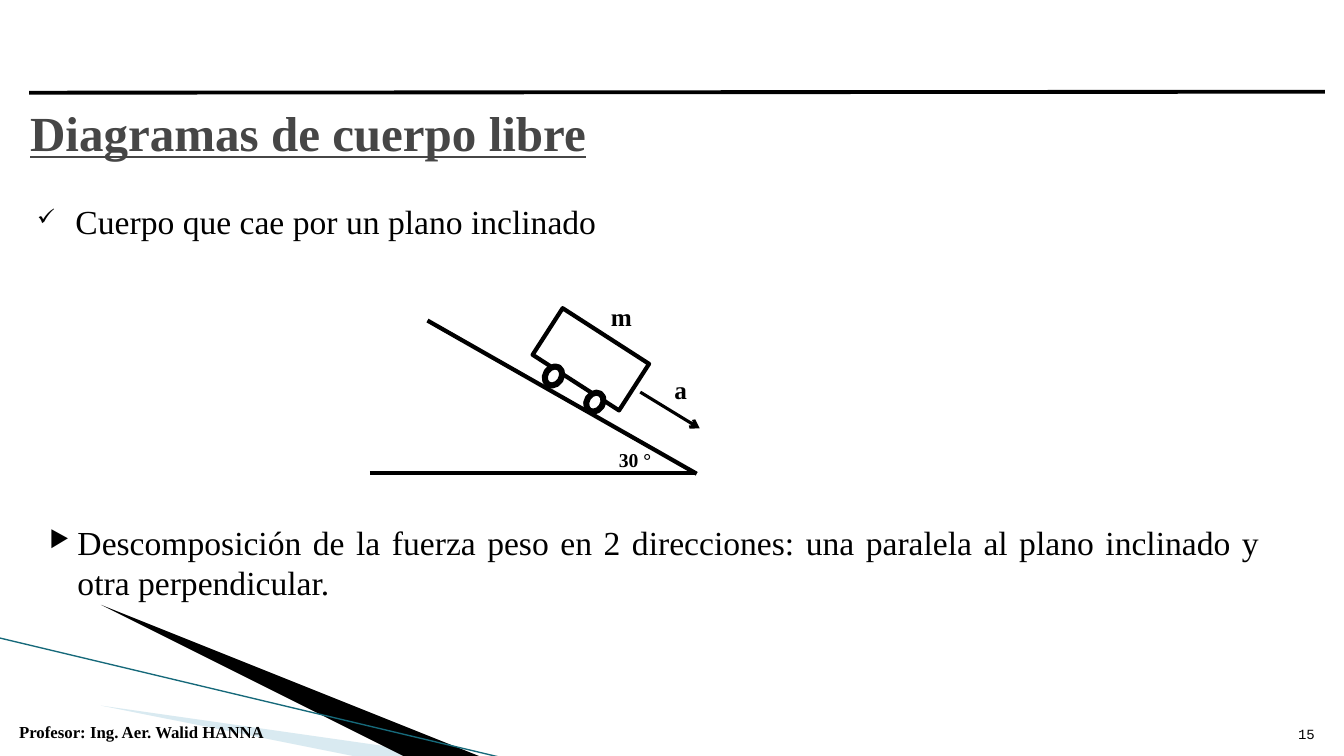
from lxml import etree
from pptx import Presentation
from pptx.dml.color import RGBColor
from pptx.enum.shapes import MSO_CONNECTOR as Conn, MSO_SHAPE as Kind
from pptx.enum.text import MSO_ANCHOR as Anchor, PP_ALIGN as Align
from pptx.oxml.ns import qn
from pptx.util import Inches, Pt

BLACK = "000000"
SERIF = "Times New Roman"


def color(code):
    return RGBColor.from_string(code)


def add_sub(node, tag, **attrs):
    return etree.SubElement(node, qn(tag), attrs)


def add_line(slide, start, end, width, code=BLACK, arrow=False):
    line = slide.shapes.add_connector(
        Conn.STRAIGHT, *(Inches(v) for v in (*start, *end)))
    line.line.color.rgb = color(code)
    line.line.width = Pt(width)
    if arrow:
        add_sub(line.line._get_or_add_ln(), "a:tailEnd", type="arrow")
    add_sub(line._element.spPr, "a:effectLst")


def add_wedge(slide, points, code, alpha=None):
    pen = slide.shapes.build_freeform(*points[0], scale=Inches(1))
    pen.add_line_segments(points[1:])
    wedge = pen.convert_to_shape()
    wedge.shadow.inherit = False
    wedge.fill.solid()
    wedge.fill.fore_color.rgb = color(code)
    wedge.line.fill.background()
    if alpha:
        tint = wedge._element.spPr.find(".//" + qn("a:srgbClr"))
        add_sub(tint, "a:alpha", val=str(alpha * 1000))


def add_text(slide, box, text, size, bold=False, font=SERIF, code=BLACK,
             align=Align.LEFT, anchor=Anchor.TOP, wrap=True, bullet=None,
             indent=(0, 0)):
    frame = slide.shapes.add_textbox(*(Inches(v) for v in box)).text_frame
    frame.word_wrap = wrap
    frame.vertical_anchor = anchor
    para = frame.paragraphs[0]
    para.text = text
    para.alignment = align
    if bullet:
        props = para._p.get_or_add_pPr()
        props.set("marL", str(Inches(indent[0])))
        props.set("indent", str(Inches(indent[1])))
        add_sub(props, "a:buSzPct", val="68000")
        add_sub(props, "a:buChar", char=bullet)
    para.font.name = font
    para.font.size = Pt(size)
    para.font.bold = bold
    para.font.color.rgb = color(code)
    return para


def add_part(slide, kind, box, width):
    part = slide.shapes.add_shape(kind, *(Inches(v) for v in box))
    part.shadow.inherit = False
    part.rotation = 32.8
    part.fill.solid()
    part.fill.fore_color.rgb = color("FFFFFF")
    part.line.color.rgb = color(BLACK)
    part.line.width = Pt(width)


def draw_base(slide, left, top):
    def at(x, y):
        return left + x, top + y

    add_wedge(slide, [at(0.73, 0.18), at(7.93, 1.17), at(6.08, 1.17)],
              "A0CBDC", 40)
    add_wedge(slide, [at(0.71, 0.16), at(6.09, 1.17), at(4.96, 1.17)], BLACK)
    add_line(slide, at(0, 0), at(4.95, 1.18), 0.95, "16697A")
    add_text(slide, (*at(0.08, 0.68), 2.64, 0.4),
             "Profesor: Ing. Aer. Walid HANNA", 12, True,
             align=Align.RIGHT, anchor=Anchor.BOTTOM)
    add_text(slide, (*at(12.61, 0.68), 0.53, 0.4), "15", 10,
             font="Courier New", align=Align.RIGHT, anchor=Anchor.BOTTOM)


def draw_head(slide, left, top, width):
    add_line(slide, (left + 0.09, top), (left + width + 0.09, top - 0.01), 2.75)
    title = add_text(slide, (left, top + 0.18, width, 0.42),
                     "Diagramas de cuerpo libre", 35, True, code="464646",
                     anchor=Anchor.MIDDLE)
    title.font.underline = True


def draw_body(slide, left, top, width):
    add_text(slide, (left, top, width, 0.5),
             "Cuerpo que cae por un plano inclinado", 24,
             bullet="✓", indent=(0.38, -0.38))
    add_text(slide, (left, top + 3.19, width, 0.9),
             "Descomposición de la fuerza peso en 2 direcciones: "
             "una paralela al plano inclinado y otra perpendicular.", 24,
             align=Align.JUSTIFY, bullet="▶", indent=(0.4, -0.28))


def draw_plane(slide, left, top):
    def at(x, y):
        return left + x, top + y

    add_part(slide, Kind.RECTANGLE, (*at(1.68, 0.35), 1.02, 0.55), 3)
    for x, y in ((2.15, 0.95), (1.74, 0.69)):
        add_part(slide, Kind.OVAL, (*at(x, y), 0.16, 0.2), 4.33)
    add_line(slide, at(2.68, 0.95), at(3.27, 1.31), 2.25, arrow=True)
    add_line(slide, at(0, 1.75), at(3.23, 1.75), 3)
    add_line(slide, at(0.57, 0.24), at(3.24, 1.76), 3)
    for text, x, y, wide, size in (("m", 2.29, 0, 0.47, 18),
                                   ("a", 2.92, 0.72, 0.35, 18),
                                   ("30 °", 2.37, 1.45, 0.55, 14)):
        add_text(slide, (*at(x, y), wide, 0.4), text, size, True, wrap=False)


def main():
    deck = Presentation()
    deck.slide_width = Inches(13.33)
    deck.slide_height = Inches(7.5)
    slide = deck.slides.add_slide(deck.slide_layouts[6])
    draw_base(slide, 0, 6.33)
    draw_head(slide, 0.2, 0.92, 12.85)
    draw_body(slide, 0.27, 1.94, 12.32)
    draw_plane(slide, 3.67, 2.94)
    deck.save("out.pptx")


if __name__ == "__main__":
    main()
